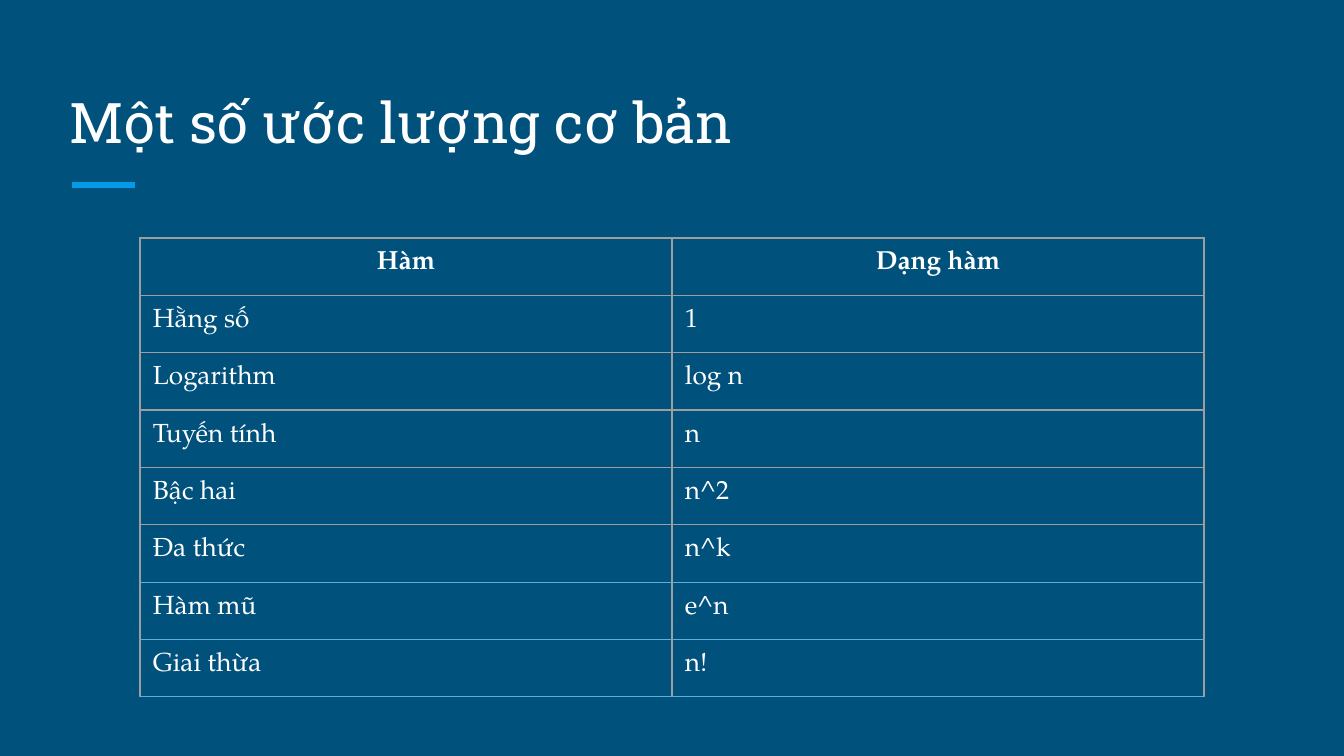
from lxml.etree import SubElement
from pptx import Presentation
from pptx.dml.color import RGBColor
from pptx.enum.shapes import MSO_CONNECTOR
from pptx.enum.text import MSO_ANCHOR, PP_ALIGN
from pptx.oxml.ns import qn
from pptx.util import Emu, Pt

SCALE = 914400 / 134.4
NAVY = RGBColor(0x00, 0x51, 0x7C)
BLUE = RGBColor(0x03, 0x9B, 0xE5)
SKY = RGBColor(0x5F, 0xAE, 0xD8)
GREY = RGBColor(0x9E, 0x9E, 0x9E)
WHITE = RGBColor(0xFF, 0xFF, 0xFF)

HEAD = {"name": "Roboto Slab", "size": Pt(30)}
BODY = {"name": "TeX Gyre Pagella", "size": Pt(14), "bold": False}
BOLD = {**BODY, "bold": True}
SIDES = ("left", "right", "top", "bottom")

ROWS = [
    ("Hàm", "Dạng hàm"),
    ("Hằng số", "1"),
    ("Logarithm", "log n"),
    ("Tuyến tính", "n"),
    ("Bậc hai", "n^2"),
    ("Đa thức", "n^k"),
    ("Hàm mũ", "e^n"),
    ("Giai thừa", "n!"),
]
GREY_RULES = 6  # horizontal rules from the top; those below are thin and sky blue


def px(num):
    return Emu(round(num * SCALE))


def apply(item, style):
    for key, value in style.items():
        setattr(item, key, value)


def edge(cell, tag, color, width):
    """Draw one border of a cell; tag is lnL, lnR, lnT or lnB."""
    line = SubElement(cell._tc.get_or_add_tcPr(), qn("a:" + tag), w=str(Pt(width)))
    fill = SubElement(line, qn("a:solidFill"))
    SubElement(fill, qn("a:srgbClr"), val=str(color))


class Board:
    def __init__(self, deck):
        self.slide = deck.slides.add_slide(deck.slide_layouts[6])
        self.pad = {"margin_" + side: px(13) for side in SIDES}
        fill = self.slide.background.fill
        fill.solid()
        fill.fore_color.rgb = NAVY

    def label(self, frame, text, font, align=PP_ALIGN.LEFT):
        para = frame.paragraphs[0]
        para.alignment = align
        run = para.add_run()
        run.text = text
        apply(run.font, font)
        run.font.color.rgb = WHITE

    def title(self, text, x, y, wide, high):
        frame = self.slide.shapes.add_textbox(px(x), px(y), px(wide), px(high)).text_frame
        apply(frame, {**self.pad, "word_wrap": True, "vertical_anchor": MSO_ANCHOR.BOTTOM})
        self.label(frame, text, HEAD)

    def rule(self, x, y, end, color, width):
        line = self.slide.shapes.add_connector(
            MSO_CONNECTOR.STRAIGHT, px(x), px(y), px(end), px(y))
        line.line.color.rgb = color
        line.line.width = Pt(width)
        SubElement(line._element.spPr, qn("a:effectLst"))

    def table(self, rows, x, y, wide, high):
        """Fill a grid of equal cells, each wide by high."""
        count, cols = len(rows), len(rows[0])
        grid = self.slide.shapes.add_table(
            count, cols, px(x), px(y), px(wide * cols), px(high * count)).table
        apply(grid, {"first_row": False, "horz_banding": False})
        for r, row in enumerate(rows):
            for c, text in enumerate(row):
                self.cell(grid.cell(r, c), text, r)

    def cell(self, cell, text, row):
        apply(cell, self.pad)
        for tag, index in (("lnL", 0), ("lnR", 0), ("lnT", row), ("lnB", row + 1)):
            style = (GREY, 0.75) if index < GREY_RULES else (SKY, 0.5)
            edge(cell, tag, *style)
        cell.fill.background()
        if row == 0:
            self.label(cell.text_frame, text, BOLD, PP_ALIGN.CENTER)
        else:
            self.label(cell.text_frame, text, BODY)


def main():
    deck = Presentation()
    apply(deck, {"slide_width": px(1344), "slide_height": px(756)})
    board = Board(deck)
    board.rule(72, 185, 135, BLUE, 3)
    board.title("Một số ước lượng cơ bản", 57, 67, 1230, 101)
    board.table(ROWS, 140, 238, 532, 56)
    deck.save("out.pptx")


if __name__ == "__main__":
    main()
